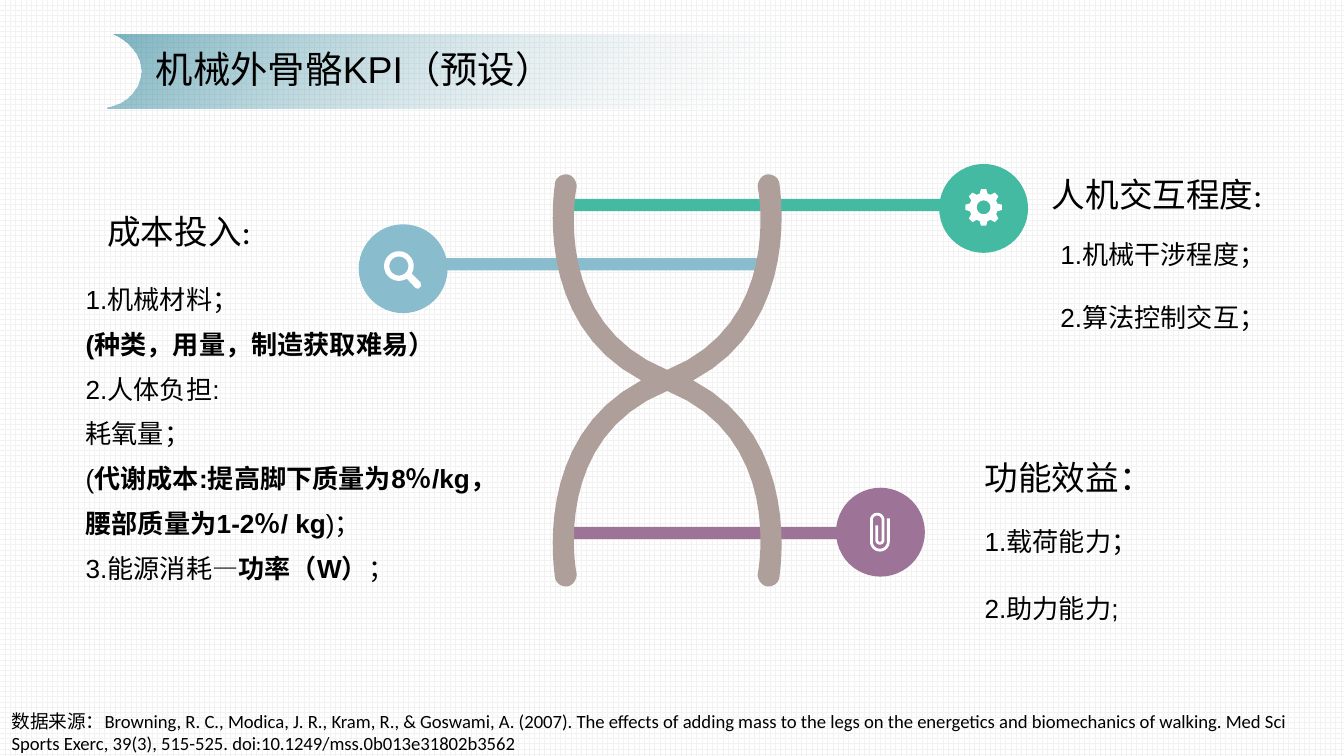
from math import cos, sin, pi, radians

from lxml import etree
from pptx import Presentation
from pptx.dml.color import RGBColor
from pptx.enum.dml import MSO_PATTERN
from pptx.enum.shapes import MSO_SHAPE as Shape
from pptx.enum.text import MSO_ANCHOR as Anchor, MSO_AUTO_SIZE as Fit, PP_ALIGN as Align
from pptx.oxml import parse_xml
from pptx.oxml.ns import nsdecls, qn
from pptx.util import Cm, Pt

BLACK = RGBColor(0x00, 0x00, 0x00)
WHITE = RGBColor(0xFF, 0xFF, 0xFF)
GRID = RGBColor(0xF2, 0xF2, 0xF2)
DEEP = RGBColor(0x14, 0x77, 0x8F)
PALE = RGBColor(0xE3, 0xE8, 0xE9)
BLUE = RGBColor(0x89, 0xBD, 0xCD)
PURPLE = RGBColor(0x9D, 0x73, 0x98)
GREEN = RGBColor(0x44, 0xBA, 0xA2)
TAUPE = RGBColor(0xAE, 0x9F, 0x9A)


def curve(a, b, c, d, steps=16):
    """Points along a cubic Bezier curve, without its start."""
    pts = []
    for i in range(1, steps + 1):
        t = i / steps
        w = ((1 - t) ** 3, 3 * t * (1 - t) ** 2, 3 * t * t * (1 - t), t ** 3)
        pts.append(tuple(sum(k * p[n] for k, p in zip(w, (a, b, c, d))) for n in (0, 1)))
    return pts


def draw(loops, color, close=True):
    """Add one filled outline; each loop is a list of points in cm."""
    path = None
    for loop in loops:
        pts = [(Cm(x), Cm(y)) for x, y in loop]
        if path is None:
            path = slide.shapes.build_freeform(*pts[0], scale=1.0)
        else:
            path.move_to(*pts[0])
        path.add_line_segments(pts[1:], close=close)
    shape = path.convert_to_shape()
    shape.shadow.inherit = False
    shape.fill.solid()
    shape.fill.fore_color.rgb = color
    shape.line.fill.background()
    return shape


prs = Presentation()
prs.slide_width, prs.slide_height = Cm(25.4), Cm(14.29)
slide = prs.slides.add_slide(prs.slide_layouts[5])
back = slide.background.fill
back.patterned()
back.pattern = MSO_PATTERN.LARGE_GRID
back.fore_color.rgb, back.back_color.rgb = GRID, WHITE

# Title on its fading banner
notch = [(2.03, 2.03)]
notch += curve((2.03, 2.03), (2.39, 1.96), (2.67, 1.68), (2.67, 1.35))
notch += curve((2.67, 1.35), (2.67, 1.04), (2.44, 0.79), (2.13, 0.66))
banner = draw([[(2.13, 0.66), (14.78, 0.66), (14.78, 2.06), (2.03, 2.06)] + notch], DEEP)
banner.fill.gradient()
banner.fill.gradient_angle = 315
for stop, color, place in zip(banner.fill.gradient_stops, (DEEP, PALE), (0, 1)):
    stop.color.rgb = color
    stop.position = place
for rgb, alpha in zip(banner.element.spPr.iter(qn("a:srgbClr")), ("56000", "0")):
    etree.SubElement(rgb, qn("a:alpha")).set("val", alpha)

title = slide.shapes.title
title.element.addprevious(banner.element)
title.left, title.top, title.width, title.height = Cm(2.69), Cm(0.74), Cm(8.81), Cm(1.12)
frame = title.text_frame
frame.text = "机械外骨骼KPI（预设）"
frame.auto_size, frame.vertical_anchor = Fit.NONE, Anchor.TOP
head = frame.paragraphs[0]
head.alignment = Align.LEFT
font = head.runs[0].font
font.size, font.color.rgb = Pt(20), BLACK
head.runs[0].font.fill._xPr.append(parse_xml(
    f'<a:effectLst {nsdecls("a")}><a:outerShdw blurRad="38100" dist="38100" dir="2700000">'
    '<a:srgbClr val="000000"><a:alpha val="43000"/></a:srgbClr></a:outerShdw></a:effectLst>'))
font.name = "Arial"

# Rungs, helix and round badges
rungs = [(6.78, 4.88, 7.72, 0.23, BLUE), (10.72, 9.96, 5.26, 0.23, PURPLE),
         (10.72, 3.76, 7.65, 0.23, GREEN)]
discs = [(17.75, 3.1, 1.68, 1.68, GREEN), (15.8, 9.22, 1.68, 1.68, PURPLE),
         (6.78, 4.24, 1.68, 1.68, BLUE)]
for kind, group in ((Shape.ROUNDED_RECTANGLE, rungs), (Shape.OVAL, discs)):
    for *box, color in group:
        shape = slide.shapes.add_shape(kind, *map(Cm, box))
        shape.shadow.inherit = False
        shape.fill.solid()
        shape.fill.fore_color.rgb = color
        shape.line.fill.background()
        if kind == Shape.ROUNDED_RECTANGLE:
            shape.adjustments[0] = 0.5
    if group is rungs:
        arm = [(0.49, 0)]
        for bend in (((2.58, -1.09), (2.12, -3.68), (2.12, -3.73)),
                     ((2.1, -3.84), (1.99, -3.91), (1.87, -3.89)),
                     ((1.77, -3.86), (1.71, -3.76), (1.71, -3.66)),
                     ((1.74, -3.53), (2.17, -1.07), (0, -0.2))):
            arm += curve(arm[-1], *bend)
        helix = []
        for sx, sy, step in ((1, 1, 1), (-1, 1, -1), (-1, -1, 1), (1, -1, -1)):
            helix += [(12.61 + sx * x, 7.19 + sy * y) for x, y in arm[::step]]
        draw([helix], TAUPE)

# White icons, built on a unit circle of 48 steps
ring = [(cos(i * pi / 24), sin(i * pi / 24)) for i in range(49)]
lens = [(7.54 + 0.28 * x, 5.03 + 0.28 * y) for x, y in ring[8:] + ring[:5]]
lens += [(7.79, 5.18), (7.95, 5.34), (7.96, 5.41), (7.9, 5.46), (7.85, 5.44), (7.69, 5.27)]
draw([lens, [(7.54 + 0.18 * x, 5.03 + 0.18 * y) for x, y in ring[::-1]]], WHITE)

gear = []
for tooth in range(0, 360, 45):
    for turn, r in ((-16, 0.27), (-8, 0.35), (8, 0.35), (16, 0.27)):
        a = radians(tooth + turn)
        gear.append((18.59 + r * cos(a), 3.92 + r * sin(a)))
draw([gear, [(18.59 + 0.13 * x, 3.92 + 0.13 * y) for x, y in ring[::-1]]], WHITE)

clip = [(16.79, 9.8)]
for cx, cy, r, half in ((16.63, 10.24, 0.16, ring[:25]), (16.58, 9.83, 0.11, ring[24:]),
                        (16.63, 10.21, 0.06, ring[:25])):
    clip += [(cx + r * x, cy + r * y) for x, y in half]
wire = draw([clip + [(16.57, 9.93)]], WHITE, close=False)
wire.fill.background()
wire.line.color.rgb = WHITE
wire.line.width = Pt(1.5)

# Text: box, inset, size, font, line spacing, gap, alignment, lines; bold parts between bars
notes = [
    ((-0.03, 13.28, 25.37, 1.12), 0.13, 10, "Calibri", None, 0, Align.LEFT,
     ["数据来源：Browning, R. C., Modica, J. R., Kram, R., & Goswami, A. (2007). "
      "The effects of adding mass to the legs on the energetics and biomechanics of walking. "
      "Med Sci Sports Exerc, 39(3), 515-525. doi:10.1249/mss.0b013e31802b3562"]),
    ((19.63, 3.28, 5.7, 0.76), 0, 18, "Calibri", None, 0, Align.LEFT, ["人机交互程度:"]),
    ((19.79, 4.5, 4.67, 2.39), 0, 14, "Arial", None, 17, Align.LEFT,
     ["1.机械干涉程度；", "2.算法控制交互；"]),
    ((18.36, 8.64, 3.84, 0.76), 0, 18, "Calibri", None, 0, Align.LEFT, ["功能效益："]),
    ((18.36, 10.1, 4.67, 2.32), 0, 14, "Arial", 12, 24, Align.JUSTIFY,
     ["1.载荷能力；", "2.助力能力;"]),
    ((1.78, 3.99, 3.81, 0.76), 0, 18, "Calibri", None, 0, Align.LEFT, ["成本投入:"]),
    ((1.37, 5.53, 9.2, 5.57), 0, 14, "Arial", 12, 12, Align.JUSTIFY,
     ["1.机械材料；", "|(种类，用量，制造获取难易）|", "2.人体负担:", "耗氧量；",
      "(|代谢成本:提高脚下质量为8％/kg，|", "|腰部质量为1-2％/ kg|)；",
      "3.能源消耗—|功率（W）|；"]),
]
for box, inset, size, face, pitch, gap, align, lines in notes:
    frame = slide.shapes.add_textbox(*map(Cm, box)).text_frame
    frame.word_wrap = True
    frame.margin_top = frame.margin_bottom = Cm(inset)
    for i, line in enumerate(lines):
        para = frame.add_paragraph() if i else frame.paragraphs[0]
        para.alignment = align
        if pitch:
            para.line_spacing = Pt(pitch)
        if i:
            para.space_before = Pt(gap)
        for n, part in enumerate(line.split("|")):
            if part:
                run = para.add_run()
                run.text = part
                font = run.font
                font.name, font.size, font.bold = face, Pt(size), n % 2 == 1
                font.color.rgb = BLACK

prs.save("out.pptx")
